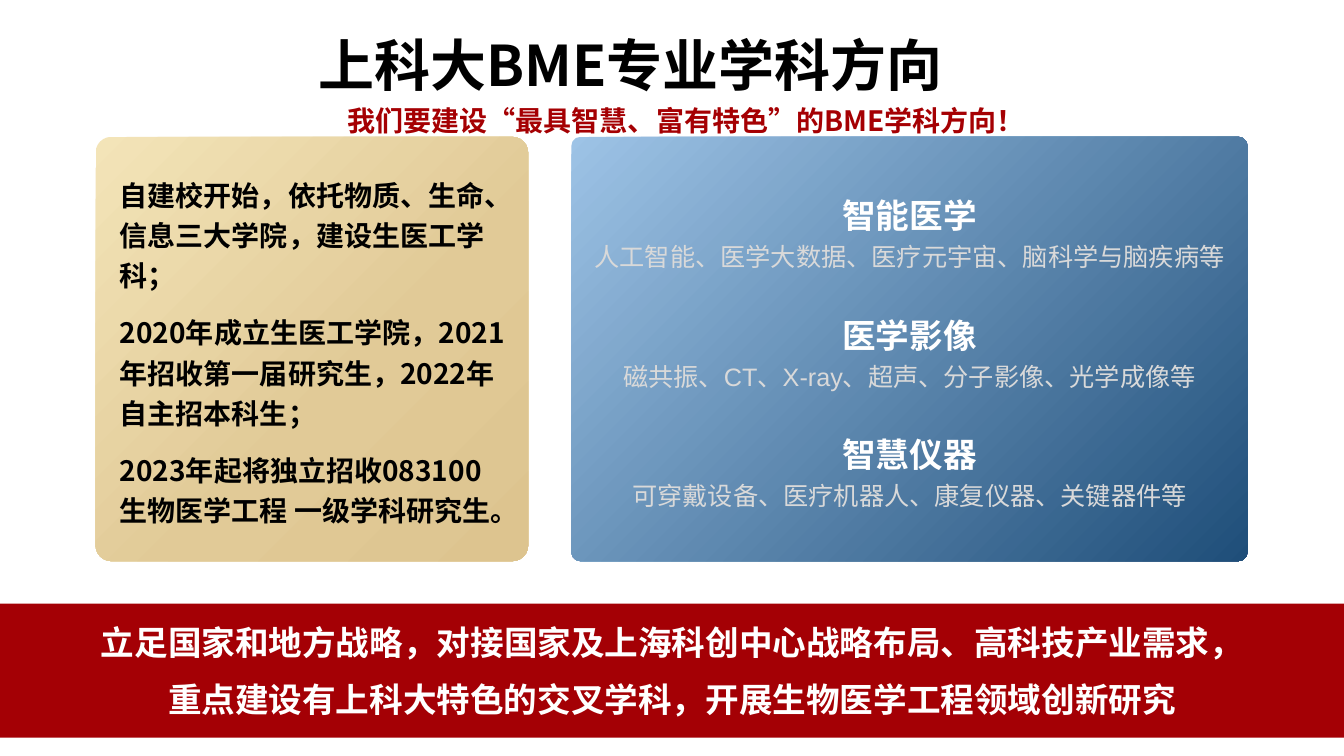
from copy import deepcopy

from pptx import Presentation
from pptx.dml.color import RGBColor
from pptx.enum.shapes import MSO_SHAPE
from pptx.enum.text import MSO_ANCHOR, PP_ALIGN
from pptx.util import Cm, Pt

COLORS = {
    "black": "000000", "white": "FFFFFF", "grey": "D9D9D9",
    "crimson": "A40005", "red": "A50003",
    "sand": ["F3E4B8", "E1CA97", "DDC48F"], "blue": ["9DC3E6", "1F4E79"],
}
HEADING_FONT = "Noto Sans CJK SC"
BODY_FONT = "Arial"


def add_panel(left, top, width, height, corner, colors, positions):
    """Add a borderless rounded panel with a solid or diagonal gradient fill."""
    shape = slide.shapes.add_shape(
        MSO_SHAPE.ROUNDED_RECTANGLE, Cm(left), Cm(top), Cm(width), Cm(height))
    shape.adjustments[0] = corner
    shape.shadow.inherit = False
    shape.line.fill.background()
    if len(colors) == 1:
        shape.fill.solid()
        shape.fill.fore_color.rgb = RGBColor.from_string(colors[0])
        return shape
    shape.fill.gradient()
    shape.fill.gradient_angle = 315
    if len(colors) == 3:
        first_stop = shape.fill._fill._gradFill.gsLst[0]
        first_stop.addnext(deepcopy(first_stop))
    for stop, color, position in zip(shape.fill.gradient_stops, colors, positions):
        stop.color.rgb = RGBColor.from_string(color)
        stop.position = position
    return shape


def write(shape, lines, frame_format, paragraph_format):
    """Fill a shape with lines of (text, size, color, bold, font, space before)."""
    frame = shape.text_frame
    for name, value in frame_format.items():
        setattr(frame, name, value)
    for index, (text, size, color, bold, font, space) in enumerate(lines):
        paragraph = frame.paragraphs[0] if index == 0 else frame.add_paragraph()
        for name, value in paragraph_format.items():
            setattr(paragraph, name, value)
        paragraph.space_before = Pt(space if index else 0)
        run = paragraph.add_run()
        run.text = text
        run_format = {"name": font, "size": Pt(size), "bold": bold}
        for name, value in run_format.items():
            setattr(run.font, name, value)
        run.font.color.rgb = RGBColor.from_string(COLORS[color])


presentation = Presentation()
presentation.slide_width = Cm(33.87)
presentation.slide_height = Cm(19.05)
slide = presentation.slides.add_slide(presentation.slide_layouts[6])

no_margins = {"margin_left": 0, "margin_right": 0, "margin_top": 0, "margin_bottom": 0}
middle = {"word_wrap": True, "vertical_anchor": MSO_ANCHOR.MIDDLE}

# Title and subtitle
title = slide.shapes.add_textbox(Cm(3.96), Cm(0.94), Cm(23.85), Cm(1.55))
write(title, [("上科大BME专业学科方向", 40, "black", True, HEADING_FONT, 0)],
      {**no_margins, **middle}, {"alignment": PP_ALIGN.CENTER, "line_spacing": 0.9})

subtitle = slide.shapes.add_textbox(Cm(8.51), Cm(2.49), Cm(17.81), Cm(1.12))
write(subtitle,
      [("我们要建设“最具智慧、富有特色”的BME学科方向！", 20, "red", True, HEADING_FONT, 0)],
      {"word_wrap": False}, {"alignment": PP_ALIGN.LEFT})

# History panel
add_panel(2.41, 3.45, 10.9, 10.69, 0.037, COLORS["sand"], [0, 0.58, 1])
history = slide.shapes.add_textbox(Cm(3.02), Cm(4.32), Cm(9.7), Cm(8.97))
milestones = [
    "自建校开始，依托物质、生命、信息三大学院，建设生医工学科；",
    "2020年成立生医工学院，2021年招收第一届研究生，2022年自主招本科生；",
    "2023年起将独立招收083100 生物医学工程 一级学科研究生。",
]
write(history, [(text, 20, "black", True, HEADING_FONT, 12) for text in milestones],
      {**no_margins, "word_wrap": True}, {"line_spacing": 1.2})

# Directions panel
directions = add_panel(14.4, 3.45, 17.04, 10.69, 0.021, COLORS["blue"], [0, 1])
topics = {
    "智能医学": "人工智能、医学大数据、医疗元宇宙、脑科学与脑疾病等",
    "医学影像": "磁共振、CT、X-ray、超声、分子影像、光学成像等",
    "智慧仪器": "可穿戴设备、医疗机器人、康复仪器、关键器件等",
}
topic_lines = []
for topic, fields in topics.items():
    topic_lines += [(topic, 24, "white", True, BODY_FONT, 25),
                    (fields, 18, "grey", False, BODY_FONT, 0)]
write(directions, topic_lines,
      {**no_margins, **middle, "margin_top": Cm(0.41), "margin_bottom": Cm(0.41)},
      {"alignment": PP_ALIGN.CENTER, "line_spacing": 1.2})

# Mission banner
banner = add_panel(0, 15.21, 33.87, 3.38, 0, [COLORS["crimson"]], [])
mission = [
    "立足国家和地方战略，对接国家及上海科创中心战略布局、高科技产业需求，",
    "重点建设有上科大特色的交叉学科，开展生物医学工程领域创新研究",
]
write(banner, [(text, 24, "white", True, BODY_FONT, 6) for text in mission],
      middle, {"alignment": PP_ALIGN.CENTER, "space_after": Pt(6)})

presentation.save("out.pptx")
